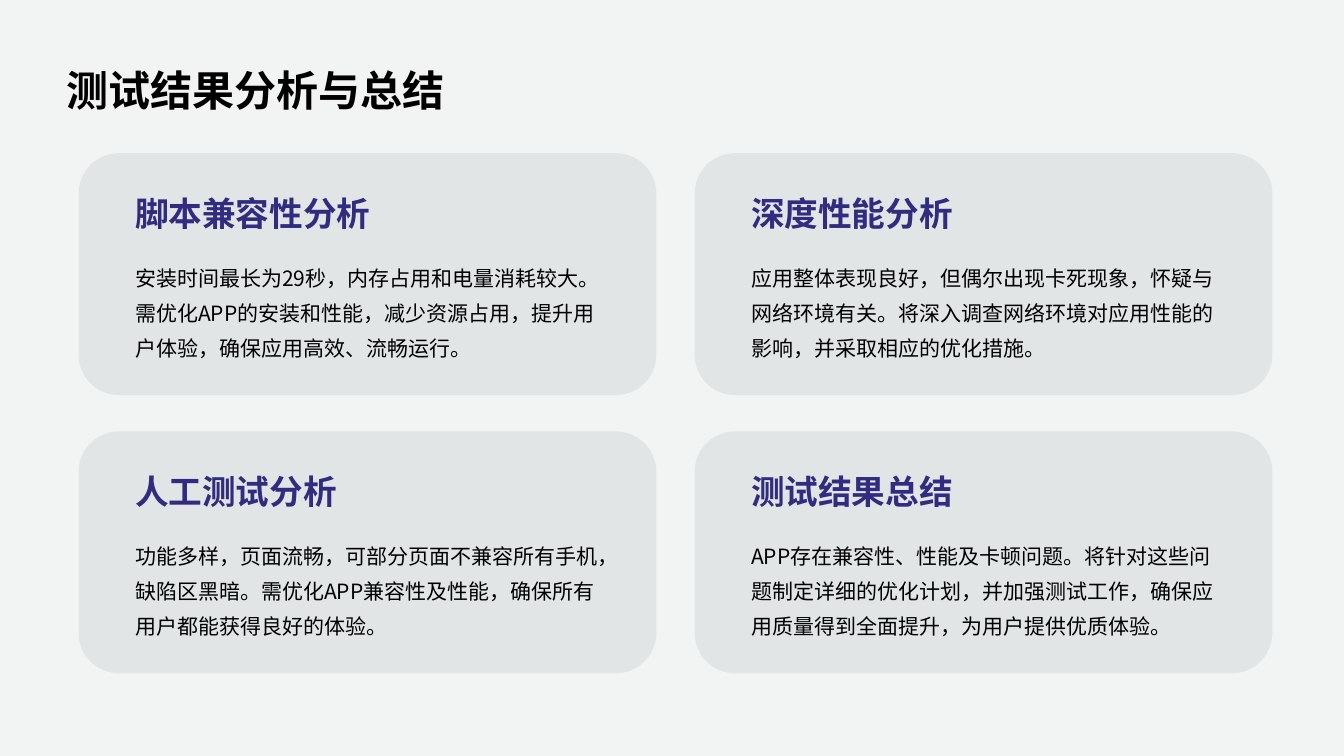
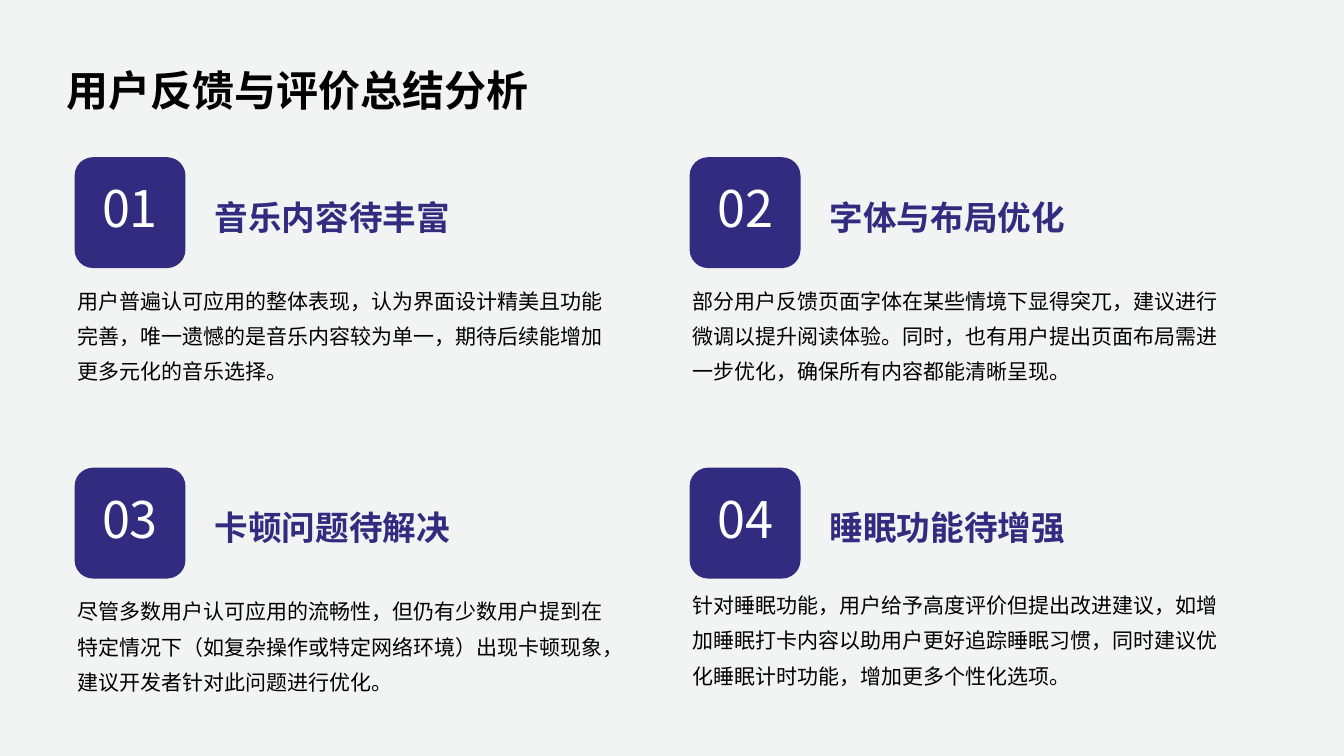
import dataclasses

import lxml.etree
import pptx
import pptx.dml.color
import pptx.enum.lang
import pptx.enum.shapes
import pptx.enum.text
import pptx.oxml.ns
import pptx.presentation
import pptx.shapes.autoshape
import pptx.slide
import pptx.util

RGBColor = pptx.dml.color.RGBColor
Anchor = pptx.enum.text.MSO_ANCHOR
Align = pptx.enum.text.PP_ALIGN
Inches = pptx.util.Inches

BACKGROUND = RGBColor(0xF2, 0xF4, 0xF4)
CARD = RGBColor(0xDF, 0xE2, 0xE2)
ACCENT = RGBColor(0x31, 0x2C, 0x7F)
BLACK = RGBColor(0, 0, 0)
WHITE = RGBColor(255, 255, 255)
FONT = "Noto Sans CJK SC"
CARD_OPACITY = 80

# Insets are left, top, right, bottom in inches.
WIDE_INSETS = (0.14, 0.14, 0.06, 0.14)
NORMAL_INSETS = (0.1, 0.05, 0.1, 0.05)
NO_INSETS = (0, 0, 0, 0)
BADGE_INSETS = (0, 0, 0, 0.1)


@dataclasses.dataclass(frozen=True)
class Box:
    left: float
    top: float
    width: float
    height: float

    def moved(self, right: float, down: float) -> "Box":
        return dataclasses.replace(self, left=self.left + right, top=self.top + down)

    def lengths(self) -> tuple[int, int, int, int]:
        return tuple(Inches(value) for value in dataclasses.astuple(self))


@dataclasses.dataclass(frozen=True)
class TextStyle:
    size: int
    color: RGBColor
    bold: bool = False
    line_spacing: float = 1.0
    align: Align = Align.LEFT
    anchor: Anchor = Anchor.TOP
    insets: tuple[float, float, float, float] = WIDE_INSETS


@dataclasses.dataclass(frozen=True)
class Topic:
    heading: str
    body: str
    body_shift: float = 0.0


@dataclasses.dataclass(frozen=True)
class Grid:
    """Two-column grid; its boxes are those of the first cell."""
    column_pitch: float
    row_pitch: float
    panel: Box
    heading: Box
    body: Box

    def place(self, box: Box, index: int) -> Box:
        row, column = divmod(index, 2)
        return box.moved(column * self.column_pitch, row * self.row_pitch)


TITLE_BOX = Box(0.52, 0.29, 12.29, 1)
TITLE = TextStyle(30, BLACK, True, 1.4, anchor=Anchor.MIDDLE)
CARD_HEADING = TextStyle(24, ACCENT, True, 1.2, anchor=Anchor.BOTTOM)
CARD_BODY = TextStyle(15, BLACK, line_spacing=1.4)
BADGE_NUMBER = TextStyle(36, WHITE, align=Align.CENTER, anchor=Anchor.MIDDLE,
                         insets=BADGE_INSETS)
FEEDBACK_HEADING = dataclasses.replace(CARD_HEADING, anchor=Anchor.MIDDLE,
                                       insets=NORMAL_INSETS)
FEEDBACK_BODY = dataclasses.replace(CARD_BODY, insets=NO_INSETS)

CARD_GRID = Grid(
    column_pitch=6.11, row_pitch=2.76,
    panel=Box(0.78, 1.52, 5.73, 2.4),
    heading=Box(1.2, 1.76, 4.7, 0.69),
    body=Box(1.2, 2.39, 4.9, 1.32),
)
FEEDBACK_GRID = Grid(
    column_pitch=6.1, row_pitch=3.08,
    panel=Box(0.74, 1.56, 1.1, 1.1),
    heading=Box(2.03, 1.56, 3.88, 1.1),
    body=Box(0.77, 2.76, 5.31, 1.09),
)

RESULT_TOPICS = (
    Topic("脚本兼容性分析",
          "安装时间最长为29秒，内存占用和电量消耗较大。需优化APP的安装和性能，"
          "减少资源占用，提升用户体验，确保应用高效、流畅运行。"),
    Topic("深度性能分析",
          "应用整体表现良好，但偶尔出现卡死现象，怀疑与网络环境有关。"
          "将深入调查网络环境对应用性能的影响，并采取相应的优化措施。"),
    Topic("人工测试分析",
          "功能多样，页面流畅，可部分页面不兼容所有手机，缺陷区黑暗。"
          "需优化APP兼容性及性能，确保所有用户都能获得良好的体验。"),
    Topic("测试结果总结",
          "APP存在兼容性、性能及卡顿问题。将针对这些问题制定详细的优化计划，"
          "并加强测试工作，确保应用质量得到全面提升，为用户提供优质体验。"),
)
FEEDBACK_TOPICS = (
    Topic("音乐内容待丰富",
          "用户普遍认可应用的整体表现，认为界面设计精美且功能完善，"
          "唯一遗憾的是音乐内容较为单一，期待后续能增加更多元化的音乐选择。"),
    Topic("字体与布局优化",
          "部分用户反馈页面字体在某些情境下显得突兀，建议进行微调以提升阅读体验。"
          "同时，也有用户提出页面布局需进一步优化，确保所有内容都能清晰呈现。"),
    Topic("卡顿问题待解决",
          "尽管多数用户认可应用的流畅性，但仍有少数用户提到在特定情况下"
          "（如复杂操作或特定网络环境）出现卡顿现象，建议开发者针对此问题进行优化。"),
    Topic("睡眠功能待增强",
          "针对睡眠功能，用户给予高度评价但提出改进建议，如增加睡眠打卡内容"
          "以助用户更好追踪睡眠习惯，同时建议优化睡眠计时功能，增加更多个性化选项。",
          body_shift=-0.06),
)


def write_text(shape: pptx.shapes.autoshape.Shape, text: str, style: TextStyle) -> None:
    frame = shape.text_frame
    frame.text = text
    frame.word_wrap = True
    frame.auto_size = pptx.enum.text.MSO_AUTO_SIZE.NONE
    frame.vertical_anchor = style.anchor
    (frame.margin_left, frame.margin_top,
     frame.margin_right, frame.margin_bottom) = map(Inches, style.insets)
    paragraph = frame.paragraphs[0]
    paragraph.alignment = style.align
    paragraph.line_spacing = style.line_spacing
    paragraph.space_before = pptx.util.Pt(0)
    run = paragraph.runs[0]
    run.font.size = pptx.util.Pt(style.size)
    run.font.bold = style.bold
    run.font.color.rgb = style.color
    run.font.name = FONT
    run.font.language_id = pptx.enum.lang.MSO_LANGUAGE_ID.SIMPLIFIED_CHINESE
    east_asian = lxml.etree.SubElement(run._r.get_or_add_rPr(), pptx.oxml.ns.qn("a:ea"))
    east_asian.set("typeface", FONT)


def add_text(slide: pptx.slide.Slide, box: Box, text: str, style: TextStyle) -> None:
    write_text(slide.shapes.add_textbox(*box.lengths()), text, style)


def add_panel(slide: pptx.slide.Slide, box: Box,
              color: RGBColor) -> pptx.shapes.autoshape.Shape:
    """Add a rounded rectangle with a plain fill and no outline."""
    panel = slide.shapes.add_shape(
        pptx.enum.shapes.MSO_SHAPE.ROUNDED_RECTANGLE, *box.lengths())
    panel.shadow.inherit = False
    panel.fill.solid()
    panel.fill.fore_color.rgb = color
    panel.line.fill.background()
    return panel


def set_opacity(shape: pptx.shapes.autoshape.Shape, percent: int) -> None:
    color = shape._element.spPr.find(
        f"{pptx.oxml.ns.qn('a:solidFill')}/{pptx.oxml.ns.qn('a:srgbClr')}")
    alpha = lxml.etree.SubElement(color, pptx.oxml.ns.qn("a:alpha"))
    alpha.set("val", str(percent * 1000))


def add_titled_slide(presentation: pptx.presentation.Presentation,
                     title: str) -> pptx.slide.Slide:
    slide = presentation.slides.add_slide(
        presentation.slide_layouts.get_by_name("Title Only"))
    placeholder = slide.shapes.title
    (placeholder.left, placeholder.top,
     placeholder.width, placeholder.height) = TITLE_BOX.lengths()
    write_text(placeholder, title, TITLE)
    return slide


def add_topic_text(slide: pptx.slide.Slide, grid: Grid, index: int, topic: Topic,
                   heading_style: TextStyle, body_style: TextStyle) -> None:
    add_text(slide, grid.place(grid.heading, index), topic.heading, heading_style)
    body_box = grid.place(grid.body, index).moved(0, topic.body_shift)
    add_text(slide, body_box, topic.body, body_style)


def build_results(presentation: pptx.presentation.Presentation) -> None:
    slide = add_titled_slide(presentation, "测试结果分析与总结")
    for index, topic in enumerate(RESULT_TOPICS):
        card = add_panel(slide, CARD_GRID.place(CARD_GRID.panel, index), CARD)
        set_opacity(card, CARD_OPACITY)
        add_topic_text(slide, CARD_GRID, index, topic, CARD_HEADING, CARD_BODY)


def build_feedback(presentation: pptx.presentation.Presentation) -> None:
    slide = add_titled_slide(presentation, "用户反馈与评价总结分析")
    for index, topic in enumerate(FEEDBACK_TOPICS):
        badge = add_panel(slide, FEEDBACK_GRID.place(FEEDBACK_GRID.panel, index), ACCENT)
        write_text(badge, f"{index + 1:02d}", BADGE_NUMBER)
        add_topic_text(slide, FEEDBACK_GRID, index, topic,
                       FEEDBACK_HEADING, FEEDBACK_BODY)


def main() -> None:
    presentation = pptx.Presentation()
    presentation.slide_width = Inches(13.33)
    presentation.slide_height = Inches(7.5)
    background = presentation.slide_master.background.fill
    background.solid()
    background.fore_color.rgb = BACKGROUND
    build_results(presentation)
    build_feedback(presentation)
    presentation.save("out.pptx")


if __name__ == "__main__":
    main()
